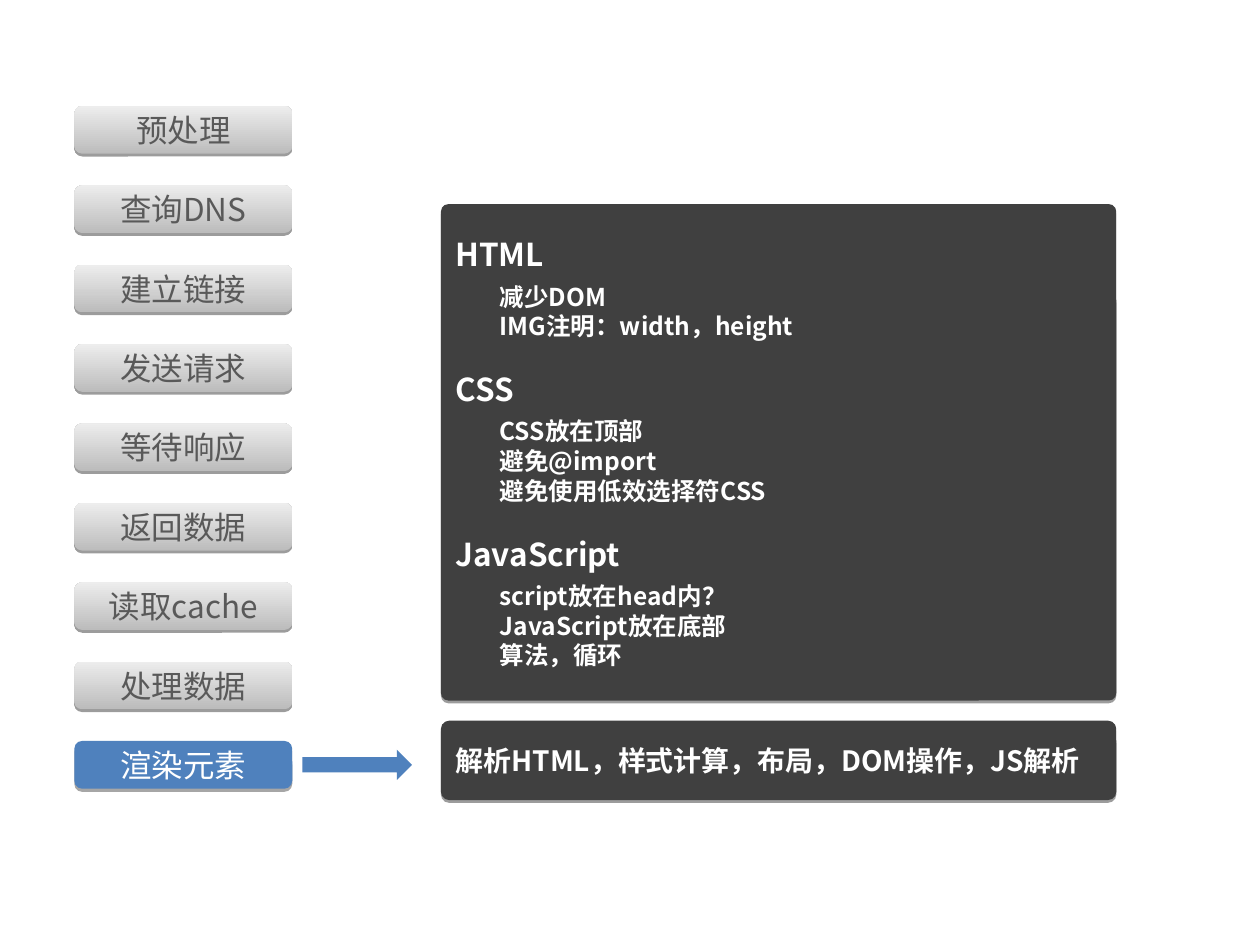
import dataclasses
import typing

import lxml.etree
import pptx
import pptx.dml.color
import pptx.enum.shapes
import pptx.enum.text
import pptx.oxml.ns
import pptx.util

RGBColor = pptx.dml.color.RGBColor
Inches = pptx.util.Inches
Pt = pptx.util.Pt
Shapes = pptx.enum.shapes.MSO_SHAPE
Align = pptx.enum.text.PP_ALIGN

FONT = "Noto Sans CJK SC"
WHITE = RGBColor(0xFF, 0xFF, 0xFF)
BLUE = RGBColor(0x4F, 0x81, 0xBD)
CHARCOAL = RGBColor(0x40, 0x40, 0x40)
LABEL_GRAY = RGBColor(0x59, 0x59, 0x59)
GRADIENT = (RGBColor(0xBC, 0xBC, 0xBC), RGBColor(0xED, 0xED, 0xED))

# Grid of the step column and of the panels
STEP_LEFT, STEP_TOP, STEP_PITCH = 0.59, 0.84, 0.63
STEP_WIDTH, STEP_HEIGHT = 1.73, 0.38
PANEL_LEFT, PANEL_WIDTH = 3.5, 5.36


@dataclasses.dataclass(frozen=True)
class Box:
    left: float
    top: float
    width: float
    height: float


@dataclasses.dataclass(frozen=True)
class Line:
    text: str
    size: float
    color: RGBColor = WHITE
    bold: bool = True
    align: Align = Align.LEFT
    indent: float = 0
    before: float = 0
    spacing: typing.Optional[float] = None


@dataclasses.dataclass(frozen=True)
class Topic:
    heading: str
    items: tuple[str, ...]


STEPS = ("预处理", "查询DNS", "建立链接", "发送请求", "等待响应",
         "返回数据", "读取cache", "处理数据", "渲染元素")
TOPICS = (
    Topic("HTML", ("减少DOM", "IMG注明:width,height".replace(":", "：").replace(",", "，"))),
    Topic("CSS", ("CSS放在顶部", "避免@import", "避免使用低效选择符CSS")),
    Topic("JavaScript", ("script放在head内？", "JavaScript放在底部", "算法，循环")),
)
SUMMARY = "解析HTML，样式计算，布局，DOM操作，JS解析"


def add_block(slide, kind: Shapes, box: Box, color: typing.Optional[RGBColor]):
    """Add a borderless shape; without a color it gets the gray gradient."""
    shape = slide.shapes.add_shape(kind, Inches(box.left), Inches(box.top),
                                   Inches(box.width), Inches(box.height))
    shape.shadow.inherit = False
    shape.line.fill.background()
    if color is None:
        shape.fill.gradient()
        shape.fill.gradient_angle = 90
        for stop, stop_color in zip(shape.fill.gradient_stops, GRADIENT):
            stop.color.rgb = stop_color
    else:
        shape.fill.solid()
        shape.fill.fore_color.rgb = color
    return shape


def add_shadow(shape, distance: float, opacity: int) -> None:
    """Cast a sharp black shadow straight down."""
    qn = pptx.oxml.ns.qn
    effects = shape._element.spPr.find(qn("a:effectLst"))
    shadow = lxml.etree.SubElement(effects, qn("a:outerShdw"), blurRad="0",
                                   dist=str(Pt(distance)), dir="5400000", rotWithShape="0")
    black = lxml.etree.SubElement(shadow, qn("a:srgbClr"), val="000000")
    lxml.etree.SubElement(black, qn("a:alpha"), val=str(opacity * 1000))


def write_lines(shape, lines: typing.Sequence[Line]) -> None:
    frame = shape.text_frame
    frame.word_wrap = True
    frame.vertical_anchor = pptx.enum.text.MSO_ANCHOR.MIDDLE
    for index, line in enumerate(lines):
        paragraph = frame.add_paragraph() if index else frame.paragraphs[0]
        paragraph.alignment = line.align
        paragraph.space_before = Pt(line.before)
        if line.spacing:
            paragraph.line_spacing = Pt(line.spacing)
        if line.indent:
            properties = paragraph._p.get_or_add_pPr()
            properties.set("marL", str(Inches(line.indent)))
            properties.set("indent", "0")
        run = paragraph.add_run()
        run.text = line.text
        run.font.size = Pt(line.size)
        run.font.bold = line.bold
        run.font.color.rgb = line.color
        run.font.name = FONT
        lxml.etree.SubElement(run._r.get_or_add_rPr(), pptx.oxml.ns.qn("a:ea"), typeface=FONT)


def add_card(slide, box: Box, color: typing.Optional[RGBColor], corner: float,
             lines: typing.Sequence[Line], distance: float = 1.6, opacity: int = 38) -> None:
    card = add_block(slide, Shapes.ROUNDED_RECTANGLE, box, color)
    card.adjustments[0] = corner
    add_shadow(card, distance, opacity)
    write_lines(card, lines)


def topic_lines() -> list[Line]:
    lines = []
    for number, topic in enumerate(TOPICS):
        lines.append(Line(topic.heading, 18, before=16.5 if number else 0, spacing=22))
        for position, item in enumerate(topic.items):
            lines.append(Line(item, 14, indent=0.35, before=0 if position else 4.5, spacing=17))
    return lines


presentation = pptx.Presentation()
presentation.slide_width, presentation.slide_height = Inches(10), Inches(7.5)
slide = presentation.slides.add_slide(presentation.slide_layouts[6])

# Column of steps, the last one highlighted
for row, step in enumerate(STEPS):
    active = row == len(STEPS) - 1
    label = Line(step, 18, WHITE if active else LABEL_GRAY, bold=False, align=Align.CENTER)
    step_box = Box(STEP_LEFT, STEP_TOP + row * STEP_PITCH, STEP_WIDTH, STEP_HEIGHT)
    if active:
        add_card(slide, step_box, BLUE, 0.167, [label], distance=1.8, opacity=35)
    else:
        add_card(slide, step_box, None, 0.167, [label])

# Detail panel, arrow and summary bar
add_card(slide, Box(PANEL_LEFT, 1.62, PANEL_WIDTH, 3.94), CHARCOAL, 0.015, topic_lines())
add_block(slide, Shapes.RIGHT_ARROW, Box(2.4, 5.95, 0.87, 0.24), BLUE)
add_card(slide, Box(PANEL_LEFT, 5.72, PANEL_WIDTH, 0.63), CHARCOAL, 0.102,
         [Line(SUMMARY, 16, spacing=19.5)])

presentation.save("out.pptx")
